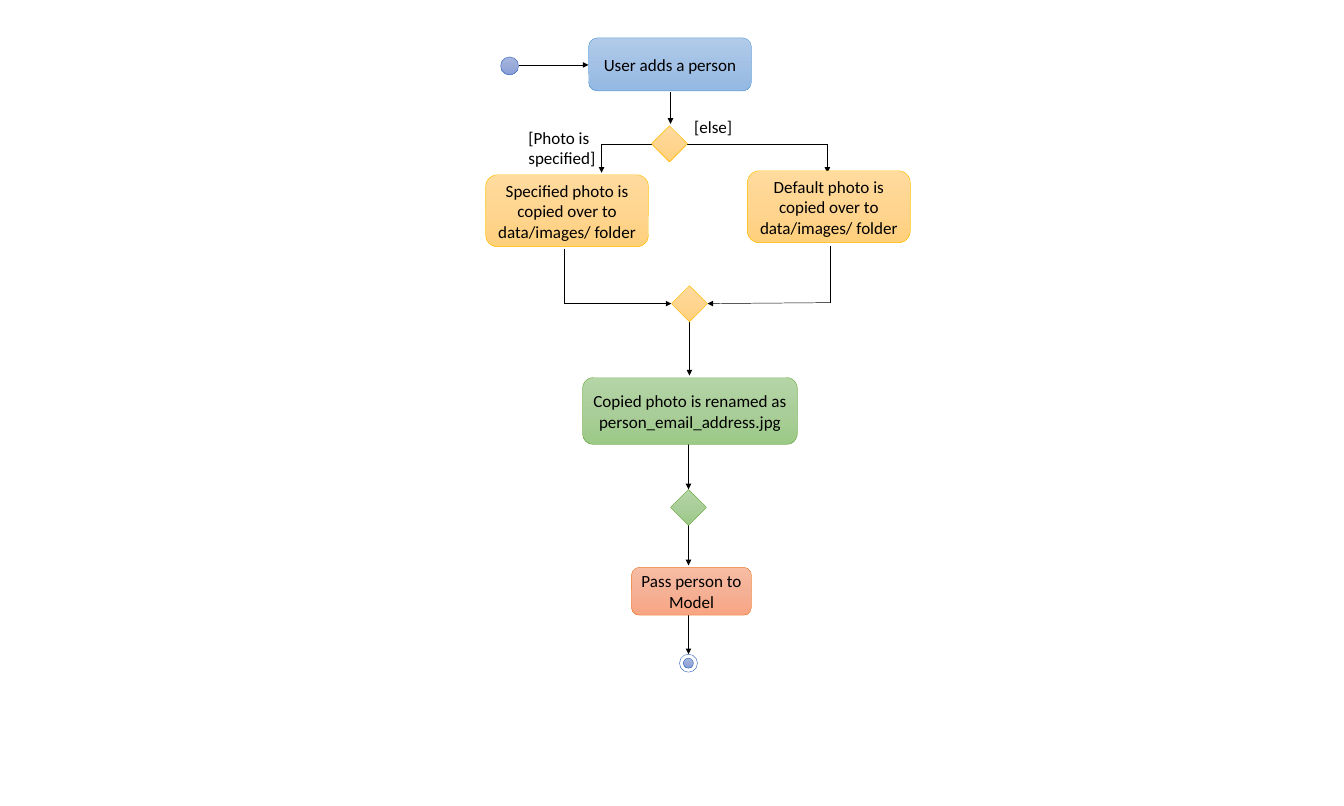
from copy import deepcopy
from typing import NamedTuple

from lxml import etree
from pptx import Presentation
from pptx.dml.color import RGBColor
from pptx.enum.shapes import MSO_CONNECTOR, MSO_SHAPE
from pptx.enum.text import MSO_ANCHOR, MSO_AUTO_SIZE, PP_ALIGN
from pptx.oxml.ns import qn
from pptx.util import Emu, Pt

ROUNDED, DIAMOND, OVAL = MSO_SHAPE.ROUNDED_RECTANGLE, MSO_SHAPE.DIAMOND, MSO_SHAPE.OVAL
STRAIGHT = MSO_CONNECTOR.STRAIGHT
MIDDLE, TOP = MSO_ANCHOR.MIDDLE, MSO_ANCHOR.TOP
CENTER, LEFT = PP_ALIGN.CENTER, PP_ALIGN.LEFT
GROW = MSO_AUTO_SIZE.SHAPE_TO_FIT_TEXT

EMU_PER_PIXEL = 914400 / 68.3
BLACK, WHITE = "000000", "FFFFFF"
THIN = Pt(0.5)


class Palette(NamedTuple):
    fills: tuple[str, ...]  # one colour, or three from top to bottom
    outline: str


class Node(NamedTuple):
    kind: MSO_SHAPE
    left: int
    top: int
    width: int
    height: int
    palette: Palette
    text: str = ""


class Guard(NamedTuple):
    left: int
    top: int
    width: int
    height: int
    text: str


BLUE = Palette(("B1CBE9", "A3C1E5", "93B9E4"), "5B9BD5")
GOLD = Palette(("FFDB9E", "FFD590", "FFD07C"), "FFC000")
GREEN = Palette(("B5D5A7", "AACE9A", "9CC987"), "70AD47")
ORANGE = Palette(("F7BDA5", "F5B196", "F8A582"), "ED7D31")
INDIGO = Palette(("A8B7DF", "9AABD9", "889ED7"), "4472C4")
RING = Palette((WHITE,), "4472C4")

NODES = [
    # Start and first action
    Node(OVAL, 501, 57, 18, 18, INDIGO),
    Node(ROUNDED, 589, 38, 163, 53, BLUE, "User adds a person"),
    # Photo branch and merge
    Node(DIAMOND, 652, 126, 36, 36, GOLD),
    Node(ROUNDED, 486, 175, 163, 72, GOLD,
         "Specified photo is copied over to data/images/ folder"),
    Node(ROUNDED, 748, 171, 163, 72, GOLD,
         "Default photo is copied over to data/images/ folder"),
    Node(DIAMOND, 672, 286, 36, 36, GOLD),
    # Rename and hand over
    Node(ROUNDED, 583, 378, 215, 67, GREEN,
         "Copied photo is renamed as person_email_address.jpg"),
    Node(DIAMOND, 671, 490, 36, 36, GREEN),
    Node(ROUNDED, 632, 568, 120, 48, ORANGE, "Pass person to Model"),
    # End
    Node(OVAL, 680, 655, 18, 18, RING),
    Node(OVAL, 684, 659, 10, 10, INDIGO),
]

GUARDS = [
    Guard(522, 124, 142, 48, "[Photo is specified]"),
    Guard(688, 113, 64, 27, "[else]"),
]

# Corner points of each flow; the arrowhead sits at the last one
FLOWS = [
    [(519, 65), (589, 65)],
    [(671, 92), (671, 124)],
    [(652, 144), (602, 144), (602, 173)],
    [(688, 144), (828, 144), (828, 173)],
    [(565, 249), (565, 304), (672, 304)],
    [(831, 246), (831, 303), (708, 304)],
    [(690, 320), (690, 376)],
    [(689, 444), (689, 490)],
    [(689, 526), (689, 566)],
    [(689, 616), (689, 655)],
]


def px(pixels: int) -> Emu:
    return Emu(round(pixels * EMU_PER_PIXEL))


def rgb(code: str) -> RGBColor:
    return RGBColor.from_string(code)


def paint(shape, palette: Palette) -> None:
    fill = shape.fill
    if len(palette.fills) == 1:
        fill.solid()
        fill.fore_color.rgb = rgb(palette.fills[0])
    else:
        fill.gradient()
        fill.gradient_angle = 270
        stop_list = shape._element.spPr.find(".//" + qn("a:gsLst"))
        stop_list.insert(1, deepcopy(stop_list[0]))
        for stop, code, position in zip(fill.gradient_stops, palette.fills, (0, 0.5, 1)):
            stop.position = position
            stop.color.rgb = rgb(code)
    shape.line.color.rgb = rgb(palette.outline)
    shape.line.width = THIN
    shape.shadow.inherit = False


def write(shape, text: str, anchor: MSO_ANCHOR, alignment: PP_ALIGN) -> None:
    frame = shape.text_frame
    frame.text = text
    frame.word_wrap = True
    frame.vertical_anchor = anchor
    paragraph = frame.paragraphs[0]
    paragraph.alignment = alignment
    for run in paragraph.runs:
        run.font.name = "Calibri"
        run.font.size = Pt(18)
        run.font.color.rgb = rgb(BLACK)


def draw_node(shapes, node: Node) -> None:
    shape = shapes.add_shape(node.kind, px(node.left), px(node.top),
                             px(node.width), px(node.height))
    paint(shape, node.palette)
    if node.text:
        write(shape, node.text, MIDDLE, CENTER)


def draw_guard(shapes, guard: Guard) -> None:
    box = shapes.add_textbox(px(guard.left), px(guard.top),
                             px(guard.width), px(guard.height))
    write(box, guard.text, TOP, LEFT)
    box.text_frame.auto_size = GROW


def draw_flow(shapes, corners: list[tuple[int, int]]) -> None:
    for (x1, y1), (x2, y2) in zip(corners, corners[1:]):
        segment = shapes.add_connector(STRAIGHT, px(x1), px(y1), px(x2), px(y2))
        segment.line.color.rgb = rgb(BLACK)
        segment.line.width = THIN
        etree.SubElement(segment._element.spPr, qn("a:effectLst"))
    etree.SubElement(segment.line._get_or_add_ln(), qn("a:tailEnd"), type="triangle")


presentation = Presentation()
presentation.slide_width, presentation.slide_height = px(1345), px(807)
diagram = presentation.slides.add_slide(presentation.slide_layouts[6]).shapes

for flow in FLOWS:
    draw_flow(diagram, flow)
for step in NODES:
    draw_node(diagram, step)
for condition in GUARDS:
    draw_guard(diagram, condition)

presentation.save("out.pptx")
